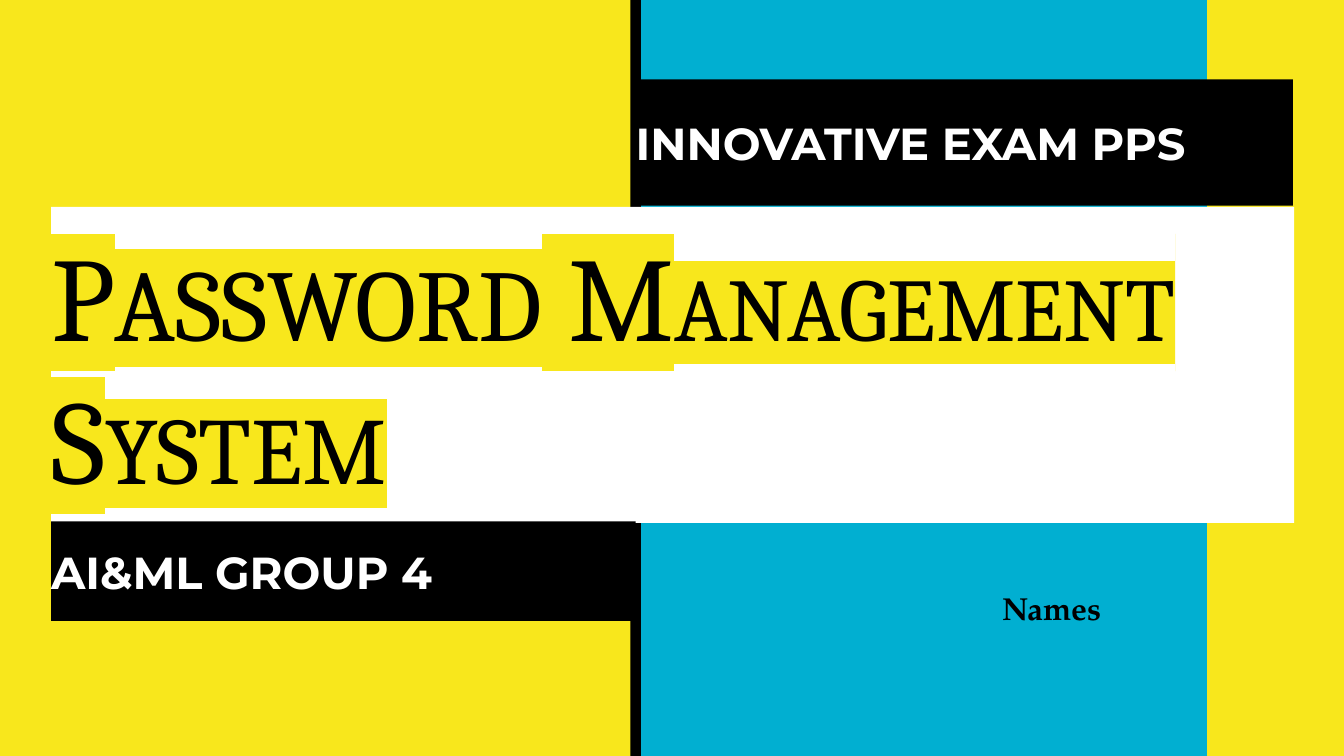
from dataclasses import dataclass

from lxml import etree
from pptx import Presentation
from pptx.dml.color import RGBColor
from pptx.enum.shapes import MSO_SHAPE
from pptx.enum.text import MSO_ANCHOR, PP_ALIGN
from pptx.oxml.ns import qn
from pptx.util import Inches, Pt

RECT = MSO_SHAPE.RECTANGLE
MIDDLE = MSO_ANCHOR.MIDDLE
TOP = MSO_ANCHOR.TOP
LEFT = PP_ALIGN.LEFT
YELLOW = RGBColor(0xF8, 0xE7, 0x1C)
BLUE = RGBColor(0x01, 0xAF, 0xD1)
BLACK = RGBColor(0, 0, 0)
WHITE = RGBColor(0xFF, 0xFF, 0xFF)
WIDTH = 10
HEIGHT = WIDTH * 9 / 16


@dataclass
class Box:
    left: float
    top: float
    width: float
    height: float
    fill: RGBColor


@dataclass
class Style:
    font: str
    color: RGBColor
    bold: bool = False


def draw_box(slide, box: Box):
    shape = slide.shapes.add_shape(
        RECT, Inches(box.left), Inches(box.top), Inches(box.width), Inches(box.height)
    )
    shape.shadow.inherit = False
    shape.fill.solid()
    shape.fill.fore_color.rgb = box.fill
    shape.line.fill.background()
    return shape


def set_frame(frame, side: float, anchor: MSO_ANCHOR) -> None:
    frame.word_wrap = True
    frame.vertical_anchor = anchor
    frame.margin_left = frame.margin_right = Inches(side)
    frame.margin_top = frame.margin_bottom = Inches(0.1)
    frame.paragraphs[0].alignment = LEFT


def set_font(run, size: float, style: Style) -> None:
    font = run.font
    font.size = Pt(size)
    font.name = style.font
    font.bold = style.bold
    font.color.rgb = style.color


def mark_run(run, color: RGBColor) -> None:
    mark = etree.Element(qn("a:highlight"))
    etree.SubElement(mark, qn("a:srgbClr")).set("val", str(color))
    run.font._element.find(qn("a:solidFill")).addnext(mark)


def draw_label(slide, box: Box, text: str) -> None:
    frame = draw_box(slide, box).text_frame
    frame.text = text
    set_frame(frame, 0, MIDDLE)
    set_font(frame.paragraphs[0].runs[0], 24, LABEL)


def draw_title(slide) -> None:
    frame = draw_box(slide, Box(0.38, 1.54, 9.25, 2.35, WHITE)).text_frame
    set_frame(frame, 0, MIDDLE)
    for text, size in TITLE:
        run = frame.paragraphs[0].add_run()
        run.text = text
        set_font(run, size, HEAD)
        mark_run(run, YELLOW)


def draw_names(slide) -> None:
    area = slide.shapes.add_textbox(Inches(7.36), Inches(4.28), Inches(2.64), Inches(0.48))
    frame = area.text_frame
    frame.text = "Names"
    set_frame(frame, 0.1, TOP)
    set_font(frame.paragraphs[0].runs[0], 17, NAMES)


HEAD = Style("Cambria", BLACK)
LABEL = Style("Montserrat", WHITE, True)
NAMES = Style("TeX Gyre Pagella", BLACK, True)
TITLE = [
    ("P", 63.9),
    ("ASSWORD", 54.5),
    (" M", 63.9),
    ("ANAGEMENT", 47.9),
    (" S", 63.9),
    ("YSTEM", 50.8),
]
BANDS = [Box(4.69, 0, 0.08, HEIGHT, BLACK), Box(4.77, 0, 4.21, HEIGHT, BLUE)]
LABELS = [
    (Box(0.38, 3.88, 4.35, 0.74, BLACK), "AI&ML GROUP 4"),
    (Box(4.73, 0.59, 4.89, 0.94, BLACK), "INNOVATIVE EXAM PPS"),
]

deck = Presentation()
deck.slide_width = Inches(WIDTH)
deck.slide_height = Inches(HEIGHT)
slide = deck.slides.add_slide(deck.slide_layouts[6])
slide.background.fill.solid()
slide.background.fill.fore_color.rgb = YELLOW

for band in BANDS:
    draw_box(slide, band)
draw_title(slide)
for box, text in LABELS:
    draw_label(slide, box, text)
draw_names(slide)

deck.save("out.pptx")
